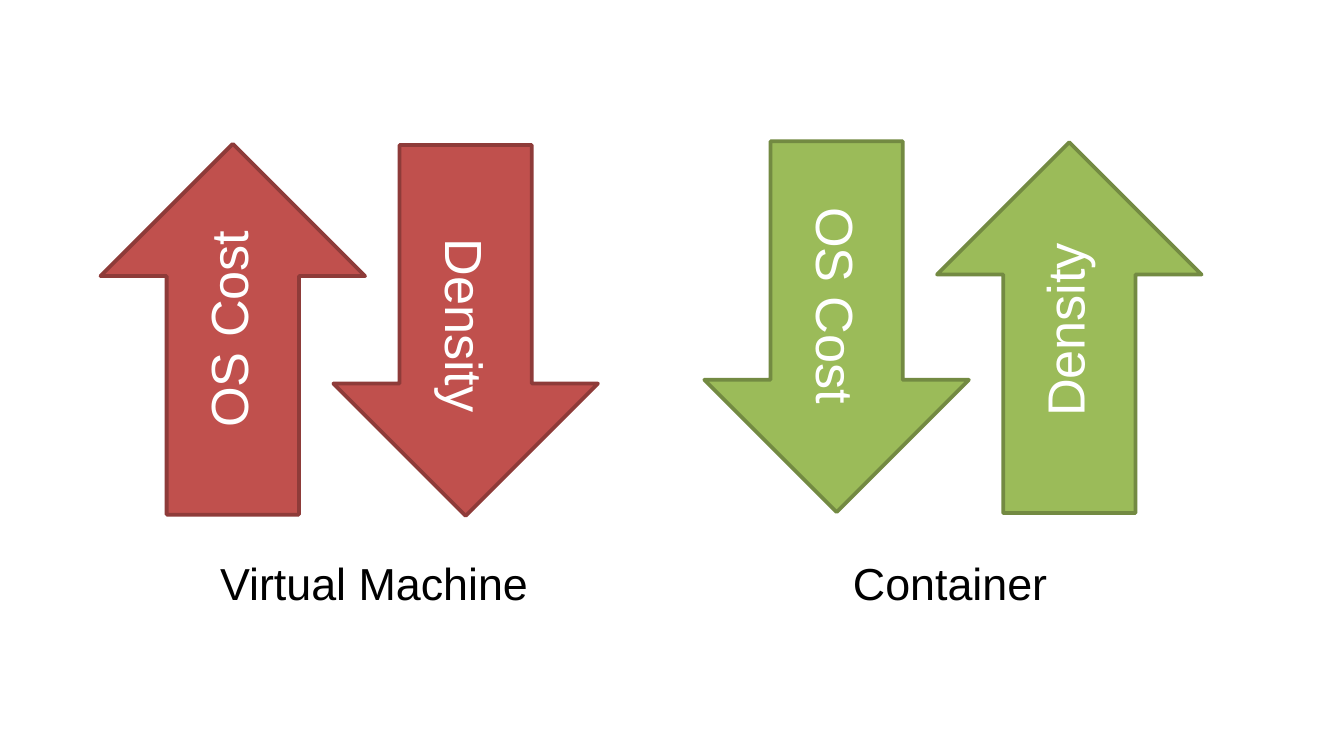
from pptx import Presentation
from pptx.dml.color import RGBColor
from pptx.enum.shapes import MSO_SHAPE
from pptx.enum.text import MSO_AUTO_SIZE
from pptx.util import Cm, Pt

RED = RGBColor(0xC0, 0x50, 0x4D)
MAROON = RGBColor(0x8E, 0x3B, 0x39)
GREEN = RGBColor(0x9B, 0xBB, 0x59)
OLIVE = RGBColor(0x73, 0x8A, 0x42)
WHITE = RGBColor(0xFF, 0xFF, 0xFF)
BLACK = RGBColor(0, 0, 0)

WIDE, TALL, STEP = 5, 7.01, 4.4
LENGTHS = {"OS Cost": 4.29, "Density": 3.84, "Virtual Machine": 6.4, "Container": 4.22}


def add_text(shapes, text, mid, size, color, high):
    """Add a one-line text box centred on the point mid."""
    wide = LENGTHS[text]
    box = shapes.add_textbox(Cm(mid[0] - wide / 2), Cm(mid[1] - high / 2), Cm(wide), Cm(high))
    frame = box.text_frame
    frame.word_wrap = False
    frame.auto_size = MSO_AUTO_SIZE.SHAPE_TO_FIT_TEXT
    frame.text = text
    font = frame.paragraphs[0].runs[0].font
    font.name, font.size, font.color.rgb = "Arial", Pt(size), color
    return box


def add_arrow(slide, left, top, text, rise, drop, fill, edge):
    """Group an up or down arrow with its label, drop below the arrow's top."""
    group = slide.shapes.add_group_shape()
    arrow = group.shapes.add_shape(MSO_SHAPE.UP_ARROW, Cm(left), Cm(top), Cm(WIDE), Cm(TALL))
    arrow.shadow.inherit = False
    arrow.fill.solid()
    arrow.fill.fore_color.rgb = fill
    arrow.line.color.rgb = edge
    arrow.line.width = Pt(2)
    arrow.rotation = 0 if rise else 180
    shift = -0.1 if rise else 0
    label = add_text(group.shapes, text, (left + WIDE / 2 + shift, top + drop), 28, WHITE, 1.45)
    label.rotation = 270 if rise else 90


def add_panel(slide, left, top, title, middle, arrows, fill, edge):
    """Place a pair of arrows side by side over a caption."""
    for i, (text, rise, drop) in enumerate(arrows):
        add_arrow(slide, left + i * STEP, top + i * 0.02, text, rise, drop, fill, edge)
    add_text(slide.shapes, title, (middle, 11.02), 24, BLACK, 1.27)


def main():
    """Build and save the slide."""
    deck = Presentation()
    deck.slide_width, deck.slide_height = Cm(25.4), Cm(14.29)
    slide = deck.slides.add_slide(deck.slide_layouts[6])
    add_panel(slide, 1.9, 2.72, "Virtual Machine", 7.11,
              [("OS Cost", True, 3.47), ("Density", False, 3.44)], RED, MAROON)
    add_panel(slide, 13.31, 2.67, "Container", 17.98,
              [("OS Cost", False, 3.14), ("Density", True, 3.52)], GREEN, OLIVE)
    deck.save("out.pptx")


if __name__ == "__main__":
    main()
